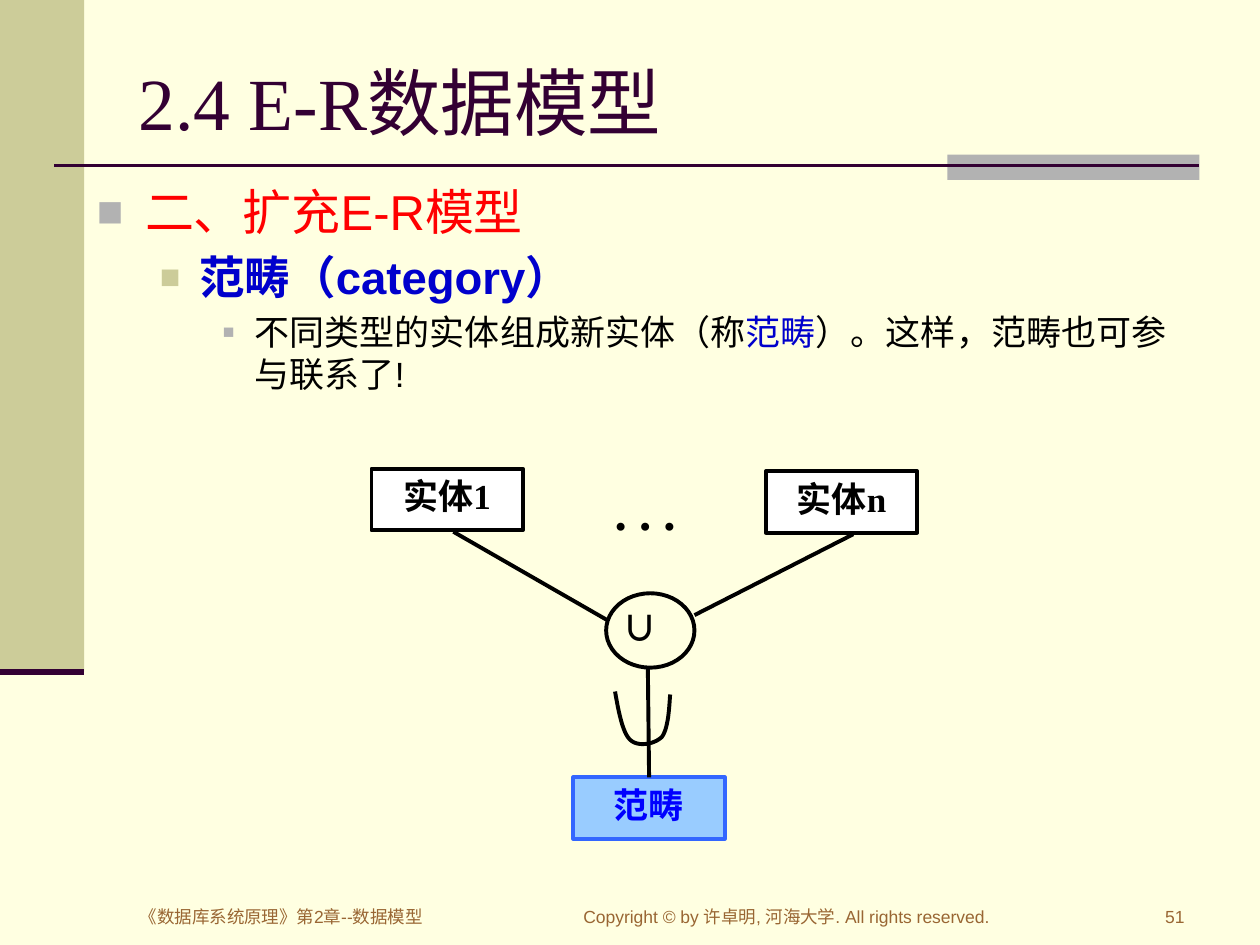
import pptx
import pptx.dml.color
import pptx.enum.shapes
import pptx.enum.text
import pptx.oxml.ns
import pptx.util
from lxml import etree

Cm = pptx.util.Cm
Pt = pptx.util.Pt
ALIGN = pptx.enum.text.PP_ALIGN
ANCHOR = pptx.enum.text.MSO_ANCHOR
SHAPE = pptx.enum.shapes.MSO_SHAPE
STRAIGHT = pptx.enum.shapes.MSO_CONNECTOR.STRAIGHT
qn = pptx.oxml.ns.qn

COLORS = {
    "cream": "FFFFE1", "olive": "CCCC99", "gray": "B2B2B2", "plum": "330033",
    "red": "FF0000", "navy": "0000CC", "blue": "0000FF", "black": "000000",
    "white": "FFFFFF", "sky": "99CCFF", "azure": "3366FF", "brown": "996633",
}


def rgb(name):
    return pptx.dml.color.RGBColor.from_string(COLORS[name])


def write(paragraph, text, size=20, font="Times New Roman", color="black",
          bold=False, align=ALIGN.LEFT):
    paragraph.alignment = align
    run = paragraph.add_run()
    run.text = text
    run.font.size = Pt(size)
    run.font.bold = bold
    run.font.name = font
    run.font.color.rgb = rgb(color)
    east_asian = etree.SubElement(run.font._element, qn("a:ea"))
    east_asian.set("typeface", "Noto Sans CJK SC")


deck = pptx.Presentation()
deck.slide_width, deck.slide_height = Cm(25.4), Cm(19.05)
slide = deck.slides.add_slide(deck.slide_layouts[1])
shapes = slide.shapes
slide.background.fill.solid()
slide.background.fill.fore_color.rgb = rgb("cream")

for left, top, width, height, color in [
    (0, 0, 1.7, 13.54, "olive"),
    (19.1, 3.12, 5.08, 0.51, "gray"),
]:
    band = shapes.add_shape(SHAPE.RECTANGLE, Cm(left), Cm(top), Cm(width), Cm(height))
    band.shadow.inherit = False
    band.fill.solid()
    band.fill.fore_color.rgb = rgb(color)
    band.line.fill.background()

title = shapes.title
title.left, title.top, title.width, title.height = Cm(2.54), Cm(0.76), Cm(21.59), Cm(2.57)
title.text_frame.vertical_anchor = ANCHOR.MIDDLE
title.text_frame.auto_size = pptx.enum.text.MSO_AUTO_SIZE.NONE
write(title.text_frame.paragraphs[0], "2.4 E-R数据模型", size=42, color="plum")

outline = slide.placeholders[1]
outline.left, outline.top, outline.width, outline.height = Cm(1.7), Cm(3.53), Cm(22.43), Cm(5.13)
outline.text_frame.auto_size = pptx.enum.text.MSO_AUTO_SIZE.NONE
for level, (margin, hanging, bullet_color, bullet_size, size, bold, parts) in enumerate([
    (0.97, 0.97, "gray", 90, 28, False, [("二、扩充E-R模型", "red")]),
    (2.06, 0.79, "olive", 75, 26, True, [("范畴（category）", "navy")]),
    (3.18, 0.64, "gray", 55, 20, False, [
        ("不同类型的实体组成新实体（称", "black"),
        ("范畴", "navy"),
        ("）。这样，范畴也可参与联系了!", "black"),
    ]),
]):
    point = outline.text_frame.add_paragraph() if level else outline.text_frame.paragraphs[0]
    point.level = level
    point.space_before = Pt(size * 0.2 if level else 0)
    properties = point._p.get_or_add_pPr()
    properties.set("marL", str(Cm(margin)))
    properties.set("indent", str(-Cm(hanging)))
    bullet_fill = etree.SubElement(properties, qn("a:buClr"))
    etree.SubElement(bullet_fill, qn("a:srgbClr")).set("val", COLORS[bullet_color])
    etree.SubElement(properties, qn("a:buSzPct")).set("val", str(bullet_size * 1000))
    etree.SubElement(properties, qn("a:buFont")).set("typeface", "Arial")
    etree.SubElement(properties, qn("a:buChar")).set("char", "■")
    for text, color in parts:
        write(point, text, size=size, font="Arial", color=color, bold=bold)

for text, left, top, fill, border, color in [
    ("实体1", 7.49, 9.45, "white", "black", "black"),
    ("实体n", 15.44, 9.5, "white", "black", "black"),
    ("范畴", 11.56, 15.67, "sky", "azure", "blue"),
]:
    entity = shapes.add_shape(SHAPE.RECTANGLE, Cm(left), Cm(top), Cm(3.05), Cm(1.24))
    entity.shadow.inherit = False
    entity.fill.solid()
    entity.fill.fore_color.rgb = rgb(fill)
    entity.line.color.rgb = rgb(border)
    entity.line.width = Pt(2.25)
    entity.text_frame.vertical_anchor = ANCHOR.TOP
    write(entity.text_frame.paragraphs[0], text, color=color, bold=True, align=ALIGN.CENTER)
category = entity

union_circle = shapes.add_shape(SHAPE.OVAL, Cm(12.22), Cm(11.96), Cm(1.78), Cm(1.5))

start = (13.51, 14)
arc = [start]
for first, second, end in [
    ((13.49, 14.35), (13.46, 14.71), (13.34, 14.86)),
    ((13.18, 15.01), (12.85, 15.06), (12.7, 14.91)),
    ((12.55, 14.76), (12.47, 14.35), (12.4, 13.94)),
]:
    for step in range(1, 13):
        t = step / 12
        arc.append(tuple(
            (1 - t) ** 3 * a + 3 * (1 - t) ** 2 * t * b + 3 * (1 - t) * t ** 2 * c + t ** 3 * d
            for a, b, c, d in zip(start, first, second, end)))
    start = end
arc_points = [(Cm(x), Cm(y)) for x, y in arc]
arc_builder = shapes.build_freeform(*arc_points[0])
arc_builder.add_line_segments(arc_points[1:], close=False)
subset_arc = arc_builder.convert_to_shape()

for symbol in (union_circle, subset_arc):
    symbol.shadow.inherit = False
    symbol.fill.background()
    symbol.line.color.rgb = rgb("black")
    symbol.line.width = Pt(2.25)

for x1, y1, x2, y2, color, width in [
    (1.09, 3.33, 24.18, 3.33, "plum", 1.5),
    (0, 13.54, 1.7, 13.54, "plum", 3.5),
    (12.24, 12.5, 9.14, 10.72, "black", 2.25),
    (14, 12.4, 17.2, 10.77, "black", 2.25),
    (13.08, 15.67, 13.06, 13.49, "black", 2.25),
]:
    link = shapes.add_connector(STRAIGHT, Cm(x1), Cm(y1), Cm(x2), Cm(y2))
    link.line.color.rgb = rgb(color)
    link.line.width = Pt(width)
    etree.SubElement(link._element.spPr, qn("a:effectLst"))
link.begin_connect(category, 0)

dots_style = dict(size=28, bold=True, align=ALIGN.JUSTIFY)
union_style = dict(font="Noto Sans CJK SC", bold=True, align=ALIGN.JUSTIFY)
footer_style = dict(size=10, font="Arial", color="brown")
for text, left, top, width, height, anchor, style in [
    (". . .", 12.14, 9.58, 2.16, 1.07, ANCHOR.TOP, dots_style),
    ("∪", 12.29, 11.96, 1.63, 1.24, ANCHOR.BOTTOM, union_style),
    ("《数据库系统原理》第2章--数据模型", 2.57, 18.14, 8.15, 0.79, ANCHOR.TOP, footer_style),
    ("Copyright © by 许卓明, 河海大学. All rights reserved.", 11.51, 18.14, 8.99, 0.79,
     ANCHOR.TOP, footer_style),
    ("51", 22.3, 18.14, 1.83, 0.79, ANCHOR.TOP, dict(footer_style, align=ALIGN.RIGHT)),
]:
    label = shapes.add_textbox(Cm(left), Cm(top), Cm(width), Cm(height))
    label.text_frame.word_wrap = True
    label.text_frame.vertical_anchor = anchor
    write(label.text_frame.paragraphs[0], text, **style)

deck.save("out.pptx")
